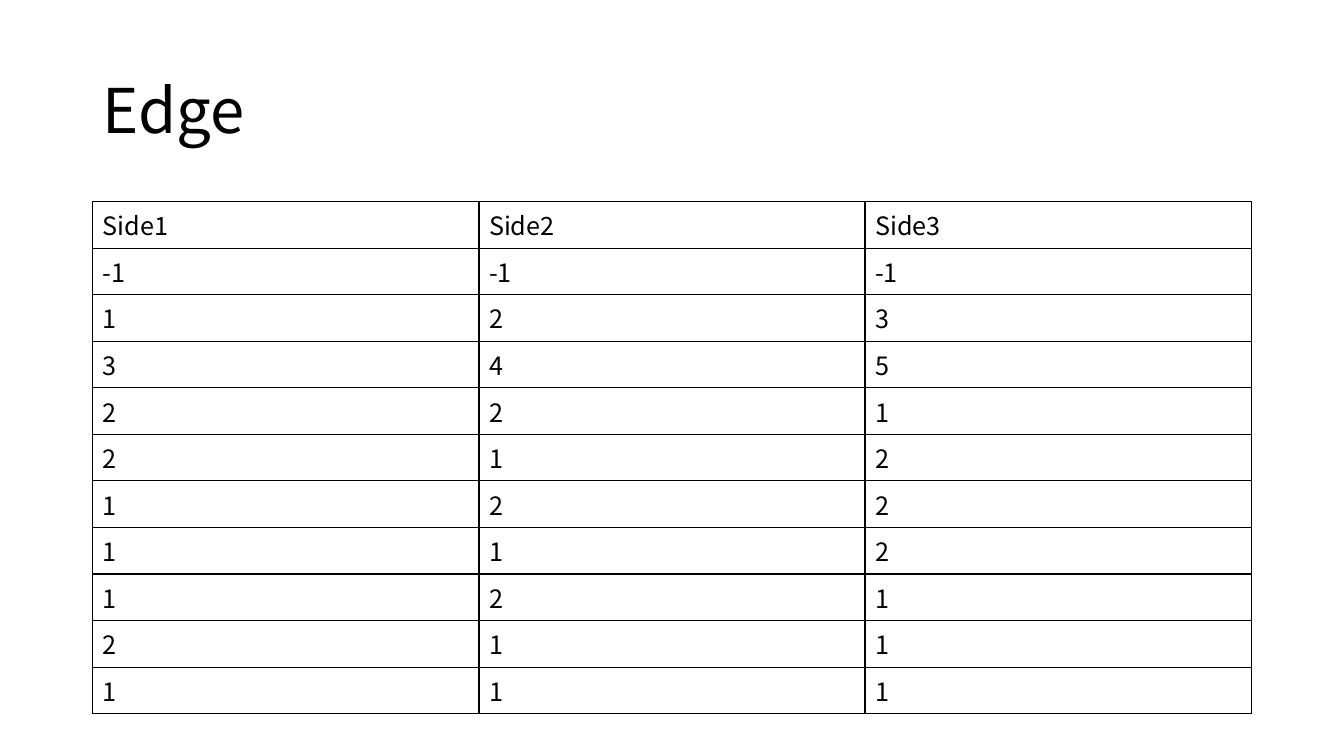
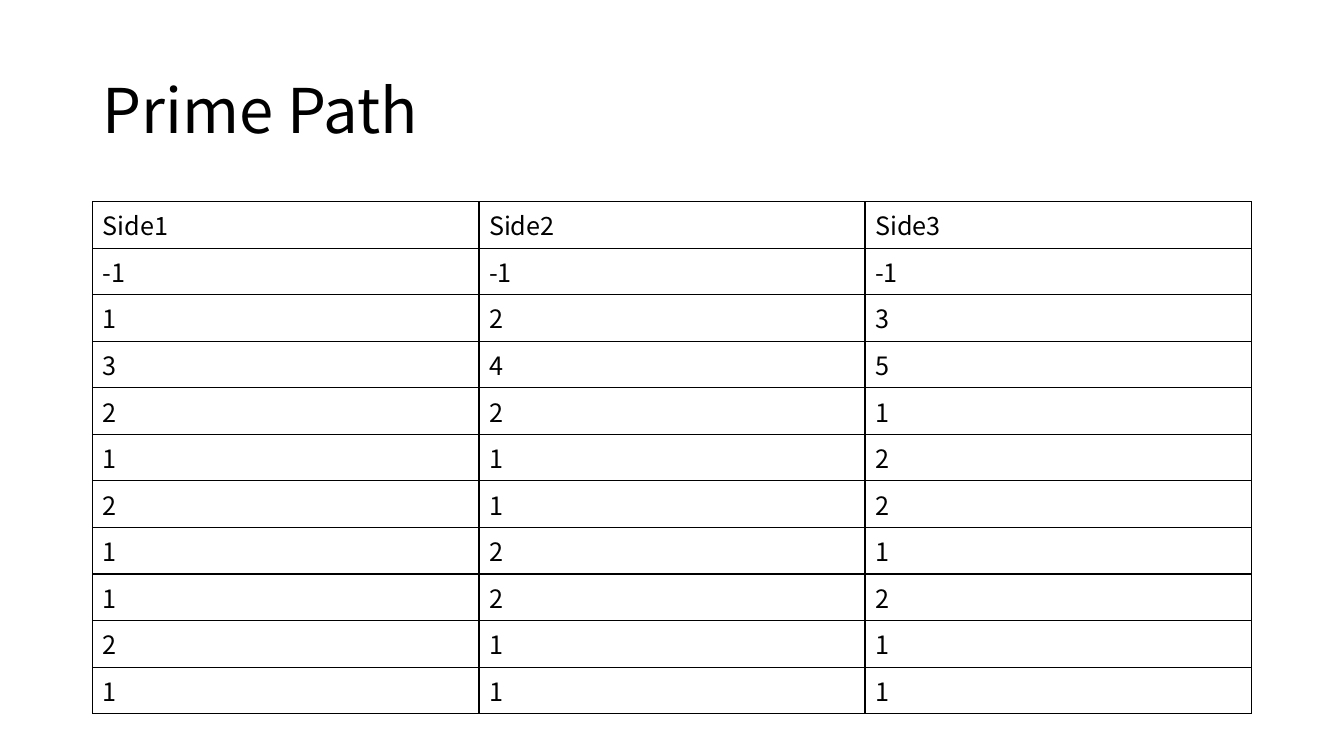
from dataclasses import dataclass

from lxml import etree
from pptx import Presentation, util as u
from pptx.dml.color import RGBColor
from pptx.enum import text
from pptx.oxml import ns


@dataclass(frozen=True)
class Theme:
    font: str = "Noto Sans CJK SC"
    ink: str = "000000"
    paper: str = "FFFFFF"
    title_size: int = 44
    body_size: int = 18
    border: int = 1


theme = Theme()

# Slide size and the shared frame for titles and tables
deck = Presentation()
deck.slide_width, deck.slide_height = u.Inches(13.33), u.Inches(7.5)
left = u.Inches(0.92)
title_width = u.Inches(11.5)
title_top, title_height = u.Inches(0.4), u.Inches(1.45)
table_top, table_height = u.Inches(2), u.Inches(5.08)
column_width = u.Inches(3.83)

# Test cases: the first four are the same for both coverage criteria
header = ("Side1", "Side2", "Side3")
shared_cases = [(-1, -1, -1), (1, 2, 3), (3, 4, 5), (2, 2, 1)]
coverage = {
    "Edge": [(2, 1, 2), (1, 2, 2), (1, 1, 2), (1, 2, 1), (2, 1, 1), (1, 1, 1)],
    "Prime Path": [(1, 1, 2), (2, 1, 2), (1, 2, 1), (1, 2, 2), (2, 1, 1), (1, 1, 1)],
}


def write(frame, words, size=theme.body_size, color=theme.ink,
          anchor=text.MSO_ANCHOR.TOP, spacing=1.0):
    frame.word_wrap = True
    frame.vertical_anchor = anchor
    line = frame.paragraphs[0]
    line.line_spacing = spacing
    run = line.add_run()
    run.text = words
    run.font.name = theme.font
    run.font.size = u.Pt(size)
    run.font.color.rgb = RGBColor.from_string(color)


def outline(cell):
    properties = cell._tc.get_or_add_tcPr()
    for side in ("L", "R", "T", "B"):
        edge = etree.SubElement(properties, ns.qn(f"a:ln{side}"), w=str(u.Pt(theme.border)))
        fill = etree.SubElement(edge, ns.qn("a:solidFill"))
        etree.SubElement(fill, ns.qn("a:srgbClr"), val=theme.ink)


for criterion, cases in coverage.items():
    slide = deck.slides.add_slide(deck.slide_layouts[6])
    slide.background.fill.solid()
    slide.background.fill.fore_color.rgb = RGBColor.from_string(theme.paper)

    # Title
    title = slide.shapes.add_textbox(left, title_top, title_width, title_height)
    write(title.text_frame, criterion, size=theme.title_size,
          anchor=text.MSO_ANCHOR.MIDDLE, spacing=0.9)

    # Table of triangle sides
    rows = [header, *shared_cases, *cases]
    sides = slide.shapes.add_table(len(rows), len(header), left, table_top,
                                   column_width * len(header), table_height).table
    sides.first_row = sides.horz_banding = False
    for r, values in enumerate(rows):
        for c, value in enumerate(values):
            cell = sides.cell(r, c)
            outline(cell)
            cell.fill.background()
            write(cell.text_frame, str(value))

deck.save("out.pptx")
